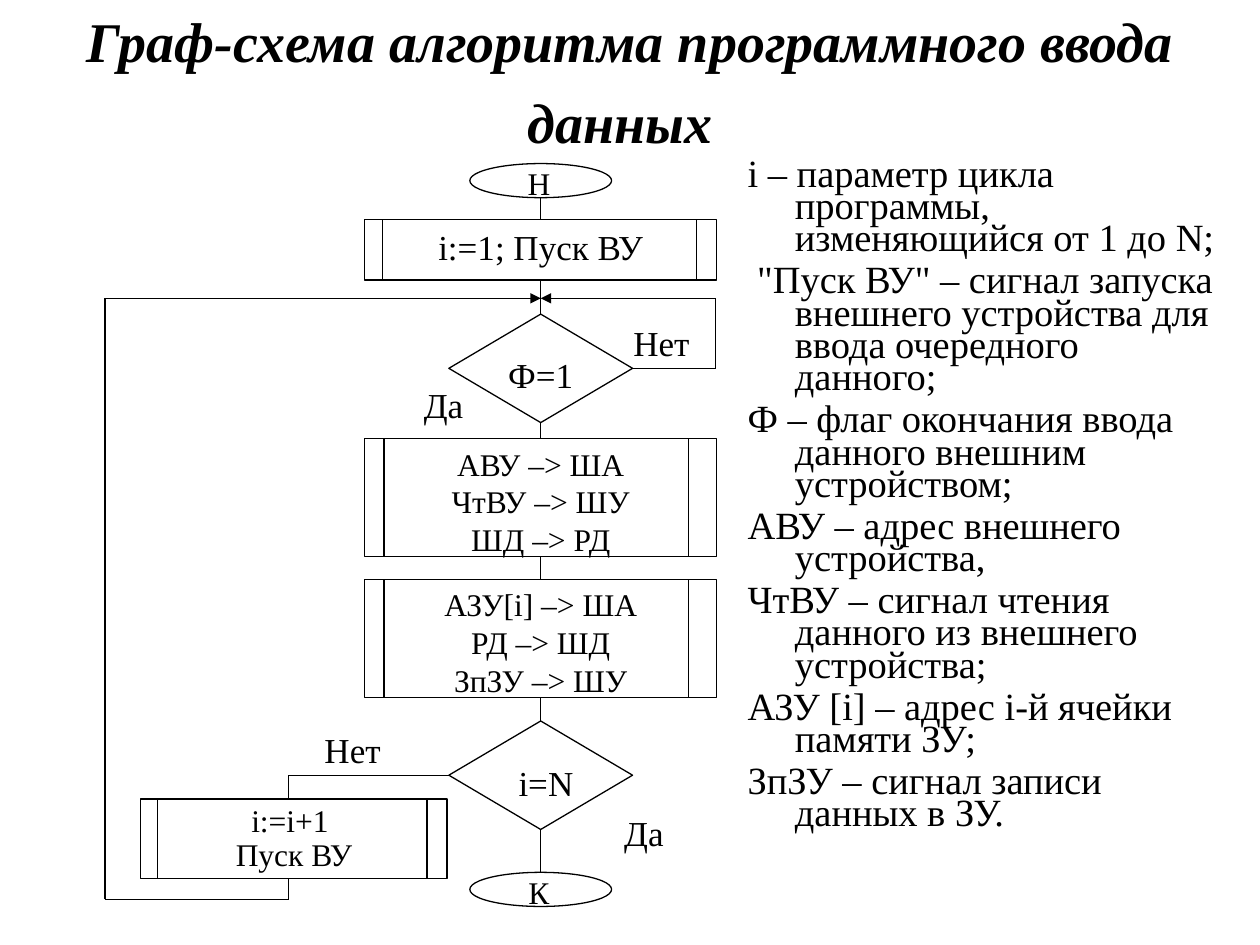
from itertools import pairwise

from lxml.etree import SubElement
from pptx import Presentation
from pptx.dml.color import RGBColor
from pptx.enum.shapes import MSO_CONNECTOR, MSO_SHAPE
from pptx.enum.text import MSO_ANCHOR, MSO_AUTO_SIZE, PP_ALIGN
from pptx.oxml.ns import qn
from pptx.util import Pt

COLORS = {"ink": "000000"}
FONT = "Times New Roman"
TOP, LEFT, BOTTOM, RIGHT = range(4)

NOTES = [
    "i – параметр цикла программы, изменяющийся от 1 до N;",
    ' "Пуск ВУ" – сигнал запуска внешнего устройства для ввода очередного данного;',
    "Ф – флаг окончания ввода данного внешним устройством;",
    "АВУ – адрес внешнего устройства,",
    "ЧтВУ – сигнал чтения данного из внешнего устройства;",
    "АЗУ [i] – адрес i-й ячейки памяти ЗУ;",
    "ЗпЗУ – сигнал записи данных в ЗУ.",
]


def ink(name):
    return RGBColor.from_string(COLORS[name])


def write(frame, lines, size=20, font=FONT, bold=False, italic=False,
          align=PP_ALIGN.CENTER, anchor=MSO_ANCHOR.TOP, space=1.0, before=0):
    """Fill a text frame, one paragraph per line."""
    frame.word_wrap = True
    frame.auto_size = MSO_AUTO_SIZE.NONE
    frame.vertical_anchor = anchor
    for i, line in enumerate(lines):
        para = frame.add_paragraph() if i else frame.paragraphs[0]
        para.alignment = align
        para.line_spacing = space
        para.space_before = Pt(before)
        run = para.add_run()
        run.text = line
        run.font.name = font
        run.font.size = Pt(size)
        run.font.bold = bold
        run.font.italic = italic
        run.font.color.rgb = ink("ink")


def place(shape, left, top, width, height):
    shape.left, shape.top = Pt(left), Pt(top)
    shape.width, shape.height = Pt(width), Pt(height)


class Pen:
    """Draws flowchart parts relative to a corner of the slide."""

    def __init__(self, slide, left, top):
        self.shapes, self.left, self.top = slide.shapes, left, top

    def spot(self, x, y):
        return Pt(self.left + x), Pt(self.top + y)

    def node(self, kind, x, y, width, height):
        shape = self.shapes.add_shape(kind, *self.spot(x, y), Pt(width), Pt(height))
        shape.shadow.inherit = False
        shape.fill.background()
        shape.line.color.rgb = ink("ink")
        shape.line.width = Pt(0.75)
        return shape

    def label(self, text, mid, y, size=20):
        box = self.shapes.add_textbox(*self.spot(mid - 54, y), Pt(108), Pt(27))
        write(box.text_frame, [text], size=size)

    def line(self, start, end, arrow=False):
        wire = self.shapes.add_connector(
            MSO_CONNECTOR.STRAIGHT, *self.spot(*start), *self.spot(*end))
        wire.line.color.rgb = ink("ink")
        wire.line.width = Pt(0.75)
        props = wire.element.spPr
        if arrow:
            SubElement(props.find(qn("a:ln")), qn("a:tailEnd"), type="triangle")
        SubElement(props, qn("a:effectLst"))
        return wire

    def route(self, *points, arrow=False):
        """Draw a bent path and return its segments."""
        legs = list(pairwise(points))
        return [self.line(*leg, arrow=arrow and leg == legs[-1]) for leg in legs]

    def link(self, upper, lower):
        wire = self.line((0, 0), (0, 0))
        wire.begin_connect(upper, BOTTOM)
        wire.end_connect(lower, TOP)

    def block(self, lines, x, y, width, height, bars, **style):
        """Draw a process box with a bar inside each end."""
        shape = self.node(MSO_SHAPE.RECTANGLE, x, y, width, height)
        write(shape.text_frame, lines, **style)
        for bar in (x + bars[0], x + width - bars[1]):
            self.line((bar, y), (bar, y + height))
        return shape


def head(slide, *box):
    title = slide.shapes.title
    place(title, *box)
    write(title.text_frame, ["Граф-схема алгоритма программного ввода данных"],
          size=32, bold=True, italic=True, anchor=MSO_ANCHOR.MIDDLE)
    gap = title.text_frame.paragraphs[0].add_run()
    gap.text = " "
    gap.font.size, gap.font.name = Pt(40), "Arial"


def legend(slide, *box):
    body = slide.placeholders[1]
    place(body, *box)
    write(body.text_frame, NOTES, size=22, align=PP_ALIGN.LEFT,
          space=0.7, before=5.5)
    for para in body.text_frame.paragraphs:
        props = para._p.get_or_add_pPr()
        props.set("marL", str(Pt(27)))
        props.set("indent", str(-Pt(27)))
        SubElement(props, qn("a:buNone"))


def flow(slide, left, top, width):
    """Draw the input loop around one vertical axis."""
    pen = Pen(slide, left, top)
    axis, side, merge, foot = 249, 105, 80.5, 424
    wide, tall = 201, 67.5
    edge = axis - wide / 2

    def oval(y):
        return pen.node(MSO_SHAPE.OVAL, axis - 40.5, y, 81, 19.5)

    def choice(y):
        return pen.node(MSO_SHAPE.DIAMOND, axis - 52.5, y, 105, 62)

    oval(3.5)
    init = pen.block(["i:=1; Пуск ВУ"], edge, 35.5, wide, 34.5, (10, 11.5))
    ready = choice(89.5)
    fetch = pen.block(["АВУ –> ША", "ЧтВУ –> ШУ", "ШД –> РД"],
                      edge, 160.5, wide, tall, (11, 16), size=18)
    store = pen.block(["АЗУ[i] –> ША", "РД –> ШД", "ЗпЗУ –> ШУ"],
                      edge, 241, wide, tall, (11, 16), size=18)
    last = choice(322)
    end = oval(408.5)
    step = pen.block(["i:=i+1 ", "Пуск ВУ"], 20.5, 366.5, 175, 45.5,
                     (9.5, 11.5), size=18, space=0.9)

    pen.line((axis, 23), (axis, 35.5)).end_connect(init, TOP)
    for pair in pairwise([init, ready, fetch, store, last, end]):
        pen.link(*pair)

    wait = pen.route((axis + 52.5, 120.5), (width, 120.5), (width, merge),
                     (axis, merge), arrow=True)
    wait[0].begin_connect(ready, RIGHT)
    more = pen.route((axis - 52.5, 353), (side, 353), (side, 366.5))
    more[0].begin_connect(last, LEFT)
    pen.route((side, 412), (side, foot), (0, foot), (0, merge),
              (axis, merge), arrow=True)

    for text, mid, y, size in [
        ("Н", 248, 0, 18), ("К", 248, 405.5, 18),
        ("Ф=1", axis, 108.5, 20), ("Нет", 318, 90, 20), ("Да", 193.5, 125.5, 20),
        ("i=N", 252, 341.5, 20), ("Нет", 141.5, 322.5, 20), ("Да", 308, 370, 20),
    ]:
        pen.label(text, mid, y, size)


def main():
    deck = Presentation()
    deck.slide_width, deck.slide_height = Pt(720), Pt(540)
    slide = deck.slides.add_slide(deck.slide_layouts[1])
    head(slide, 36, 21.5, 648, 50.5)
    legend(slide, 420, 88.5, 286, 433.5)
    flow(slide, 60, 90, 349)
    deck.save("out.pptx")


if __name__ == "__main__":
    main()
